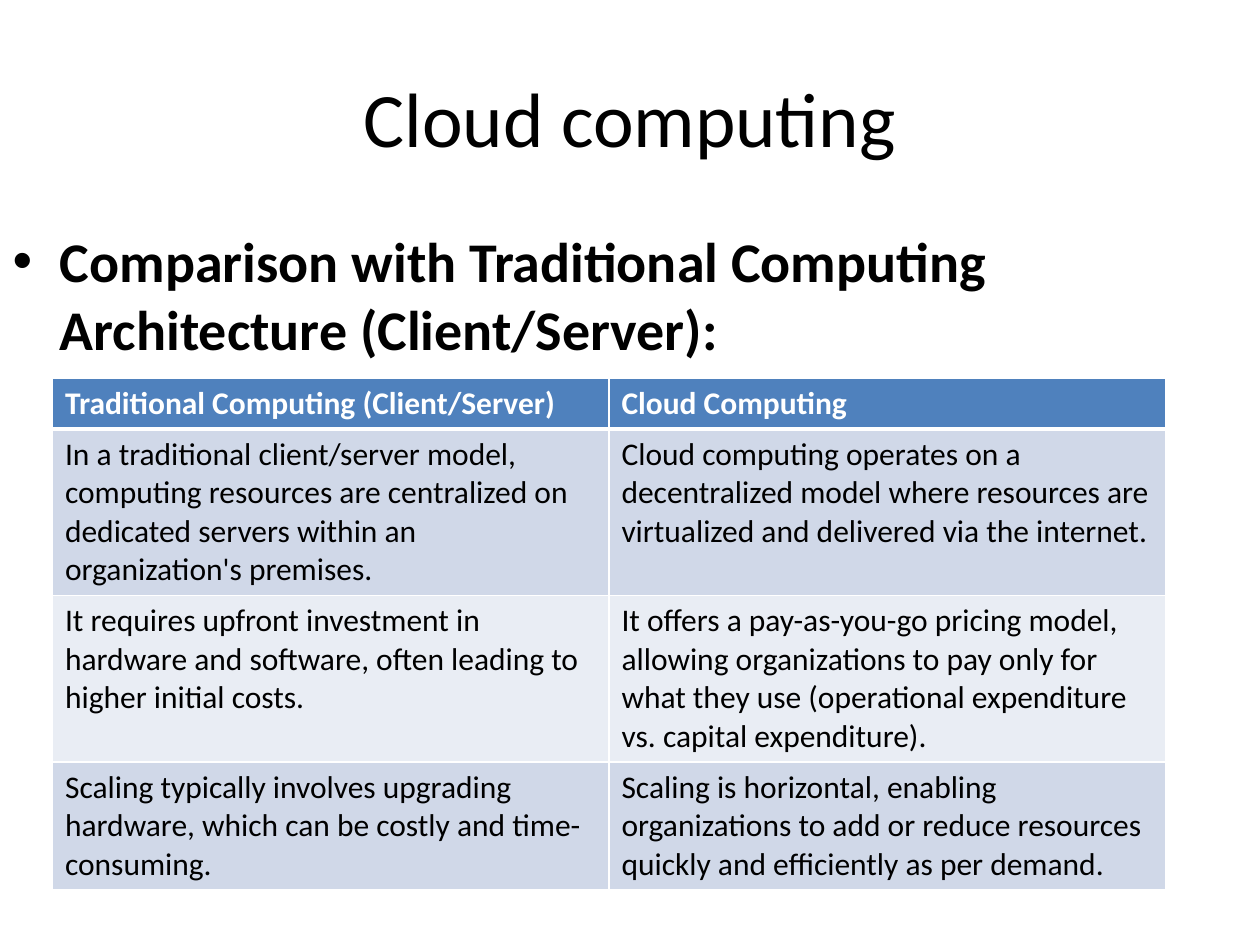
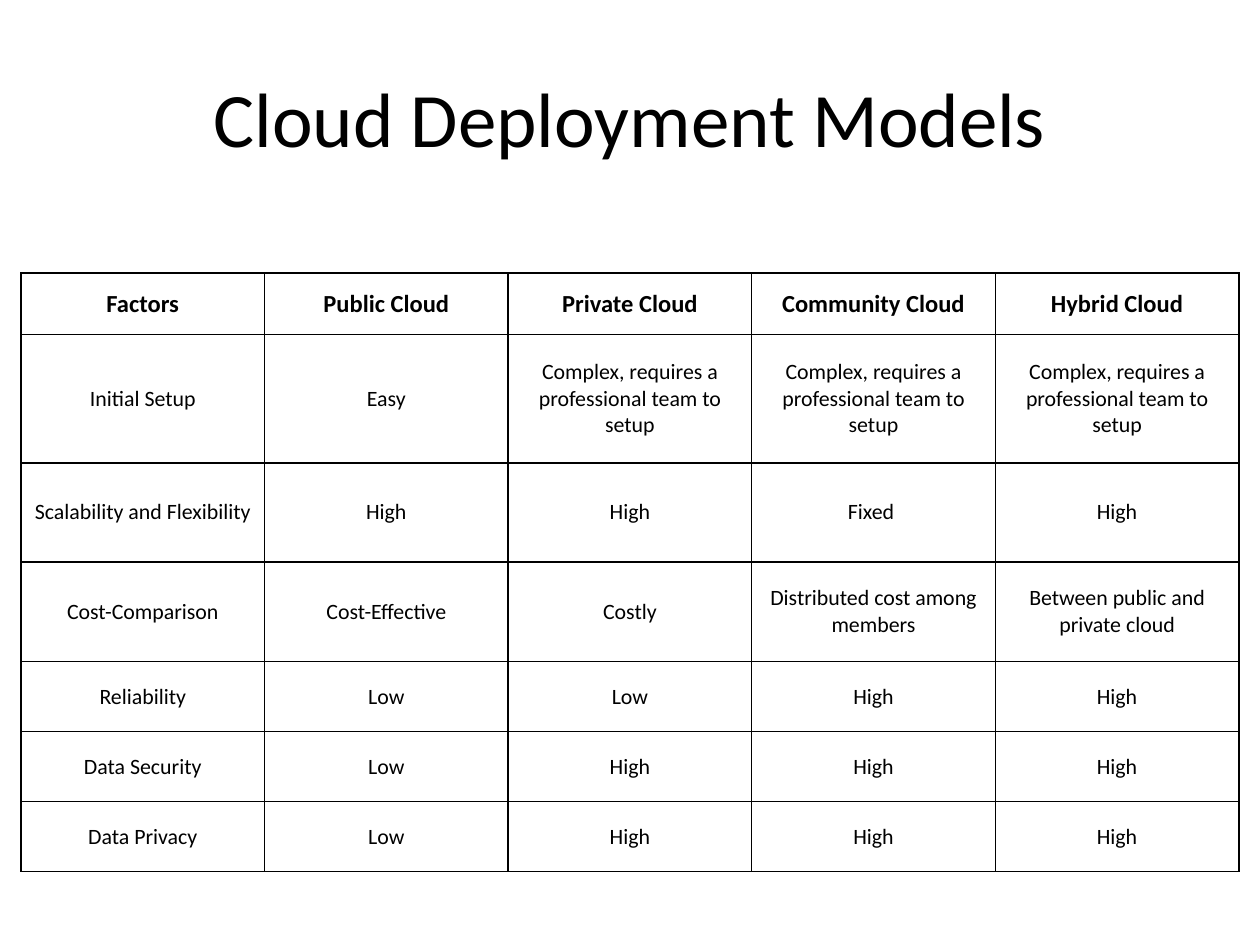
from lxml.etree import SubElement
from pptx import Presentation
from pptx.dml.color import RGBColor
from pptx.enum.text import MSO_ANCHOR, PP_ALIGN
from pptx.oxml.ns import qn
from pptx.util import Pt

LEFT, CENTER = PP_ALIGN.LEFT, PP_ALIGN.CENTER
TOP, MIDDLE = MSO_ANCHOR.TOP, MSO_ANCHOR.MIDDLE

BLACK = RGBColor(0x00, 0x00, 0x00)
WHITE = RGBColor(0xFF, 0xFF, 0xFF)
BLUE = RGBColor(0x4F, 0x81, 0xBD)
LIGHT_BLUE = RGBColor(0xD0, 0xD8, 0xE8)
PALE_BLUE = RGBColor(0xE9, 0xED, 0xF4)

FONT = "Calibri"
TITLE_BOX = (36, 21.6, 648, 90)
TITLE_FONT = {"size": Pt(44), "bold": False}
HEADING_FONT = {"size": Pt(32), "bold": True}
CONTENT_LAYOUT, TITLE_LAYOUT = 1, 5

ARCHITECTURE_ROWS = [
    ("Traditional Computing (Client/Server)", "Cloud Computing"),
    ("In a traditional client/server model, computing resources are "
     "centralized on dedicated servers within an organization's premises.",
     "Cloud computing operates on a decentralized model where resources "
     "are virtualized and delivered via the internet."),
    ("It requires upfront investment in hardware and software, often "
     "leading to higher initial costs.",
     "It offers a pay-as-you-go pricing model, allowing organizations to pay "
     "only for what they use (operational expenditure vs. capital "
     "expenditure)."),
    ("Scaling typically involves upgrading hardware, which can be costly and "
     "time-consuming.",
     "Scaling is horizontal, enabling organizations to add or reduce "
     "resources quickly and efficiently as per demand."),
]
ARCHITECTURE_STYLE = {
    "fills": [BLUE, LIGHT_BLUE, PALE_BLUE],
    "header_font": {"size": Pt(18), "bold": True, "color": WHITE},
    "body_font": {"size": Pt(18), "bold": False, "color": BLACK},
    "align": LEFT, "anchor": TOP, "margins": (3.6, 3.6),
    "border": WHITE, "header_rule": 3,
}

COMPLEX_SETUP = "Complex, requires a professional team to setup"
DEPLOYMENT_ROWS = [
    ("Factors", "Public Cloud", "Private Cloud", "Community Cloud",
     "Hybrid Cloud"),
    ("Initial Setup", "Easy", COMPLEX_SETUP, COMPLEX_SETUP, COMPLEX_SETUP),
    ("Scalability and Flexibility", "High", "High", "Fixed ", "High"),
    ("Cost-Comparison", "Cost-Effective", "Costly",
     "Distributed cost among members", "Between public and private cloud"),
    ("Reliability", "Low", "Low", "High", "High"),
    ("Data Security", "Low", "High", "High", "High"),
    ("Data Privacy", "Low", "High", "High", "High"),
]
DEPLOYMENT_STYLE = {
    "fills": [WHITE, WHITE, WHITE],
    "header_font": {"size": Pt(14), "bold": True, "color": BLACK},
    "body_font": {"size": Pt(12.5), "bold": False, "color": BLACK},
    "align": CENTER, "anchor": MIDDLE, "margins": (7.2, 10.8),
    "border": BLACK, "header_rule": 1,
}


def format_font(font, values):
    """Apply the shared typeface and a dict of font values."""
    values = {"name": FONT, "color": BLACK, **values}
    font.color.rgb = values.pop("color")
    for name, value in values.items():
        setattr(font, name, value)


def fill_placeholder(shape, text, box, font_values, align, anchor):
    """Move a placeholder and give it one formatted paragraph."""
    for name, value in zip(("left", "top", "width", "height"), box):
        setattr(shape, name, Pt(value))
    frame = shape.text_frame
    frame.text = text
    frame.vertical_anchor = anchor
    paragraph = frame.paragraphs[0]
    paragraph.alignment = align
    paragraph.space_before = Pt(0)
    format_font(paragraph.runs[0].font, font_values)


def add_titled_slide(presentation, layout, title):
    """Add a slide with the shared title style."""
    slide = presentation.slides.add_slide(presentation.slide_layouts[layout])
    fill_placeholder(slide.shapes.title, title, TITLE_BOX, TITLE_FONT,
                     CENTER, MIDDLE)
    return slide


def set_borders(cell, color, widths):
    """Draw the left, right, top and bottom borders of a cell."""
    properties = cell._tc.get_or_add_tcPr()
    for index, (side, width) in enumerate(zip("LRTB", widths)):
        line = SubElement(properties, qn(f"a:ln{side}"), w=str(Pt(width)))
        fill = SubElement(line, qn("a:solidFill"))
        SubElement(fill, qn("a:srgbClr"), val=str(color))
        properties.insert(index, line)


def format_cell(cell, text, row, style):
    """Fill one cell with text in the style of its row."""
    fills = style["fills"]
    side, header_rule = style["margins"][0], style["header_rule"]
    edge = 7.2 if row == 0 and style["anchor"] == MIDDLE else style["margins"][1]
    values = {"text": text, "vertical_anchor": style["anchor"],
              "margin_top": Pt(edge), "margin_bottom": Pt(edge),
              "margin_left": Pt(7.2), "margin_right": Pt(7.2)}
    for name, value in values.items():
        setattr(cell, name, value)
    paragraph = cell.text_frame.paragraphs[0]
    paragraph.alignment = style["align"]
    font_values = style["header_font" if row == 0 else "body_font"]
    format_font(paragraph.runs[0].font, font_values)
    cell.fill.solid()
    cell.fill.fore_color.rgb = fills[0] if row == 0 else fills[2 - row % 2]
    top = header_rule if row == 1 else 1
    bottom = header_rule if row == 0 else 1
    set_borders(cell, style["border"], (1, 1, top, bottom))


def add_styled_table(slide, rows, left, top, width, heights, style):
    """Add a table with equal columns and the given row heights."""
    columns = len(rows[0])
    table = slide.shapes.add_table(
        len(rows), columns, Pt(left), Pt(top), Pt(width), Pt(sum(heights))
    ).table
    for column in table.columns:
        column.width = Pt(width / columns)
    for row, (texts, height) in enumerate(zip(rows, heights)):
        table.rows[row].height = Pt(height)
        for column, text in enumerate(texts):
            format_cell(table.cell(row, column), text, row, style)


def add_architecture_slide(presentation):
    """Compare traditional and cloud computing."""
    slide = add_titled_slide(presentation, CONTENT_LAYOUT, "Cloud computing")
    fill_placeholder(
        slide.placeholders[1],
        "Comparison with Traditional Computing Architecture (Client/Server):",
        (0, 126, 720, 414), HEADING_FONT, LEFT, TOP)
    add_styled_table(slide, ARCHITECTURE_ROWS, 30, 216, 636,
                     [29.2, 94, 94, 72], ARCHITECTURE_STYLE)


def add_deployment_slide(presentation):
    """Compare the cloud deployment models by factor."""
    slide = add_titled_slide(presentation, TITLE_LAYOUT,
                             "Cloud Deployment Models")
    add_styled_table(slide, DEPLOYMENT_ROWS, 12, 156, 696,
                     [35.3, 73.2, 56.8, 56.8] + [40] * 3, DEPLOYMENT_STYLE)


def main():
    """Build and save the presentation."""
    presentation = Presentation()
    presentation.slide_width = Pt(720)
    presentation.slide_height = Pt(540)
    add_architecture_slide(presentation)
    add_deployment_slide(presentation)
    presentation.save("out.pptx")


if __name__ == "__main__":
    main()
